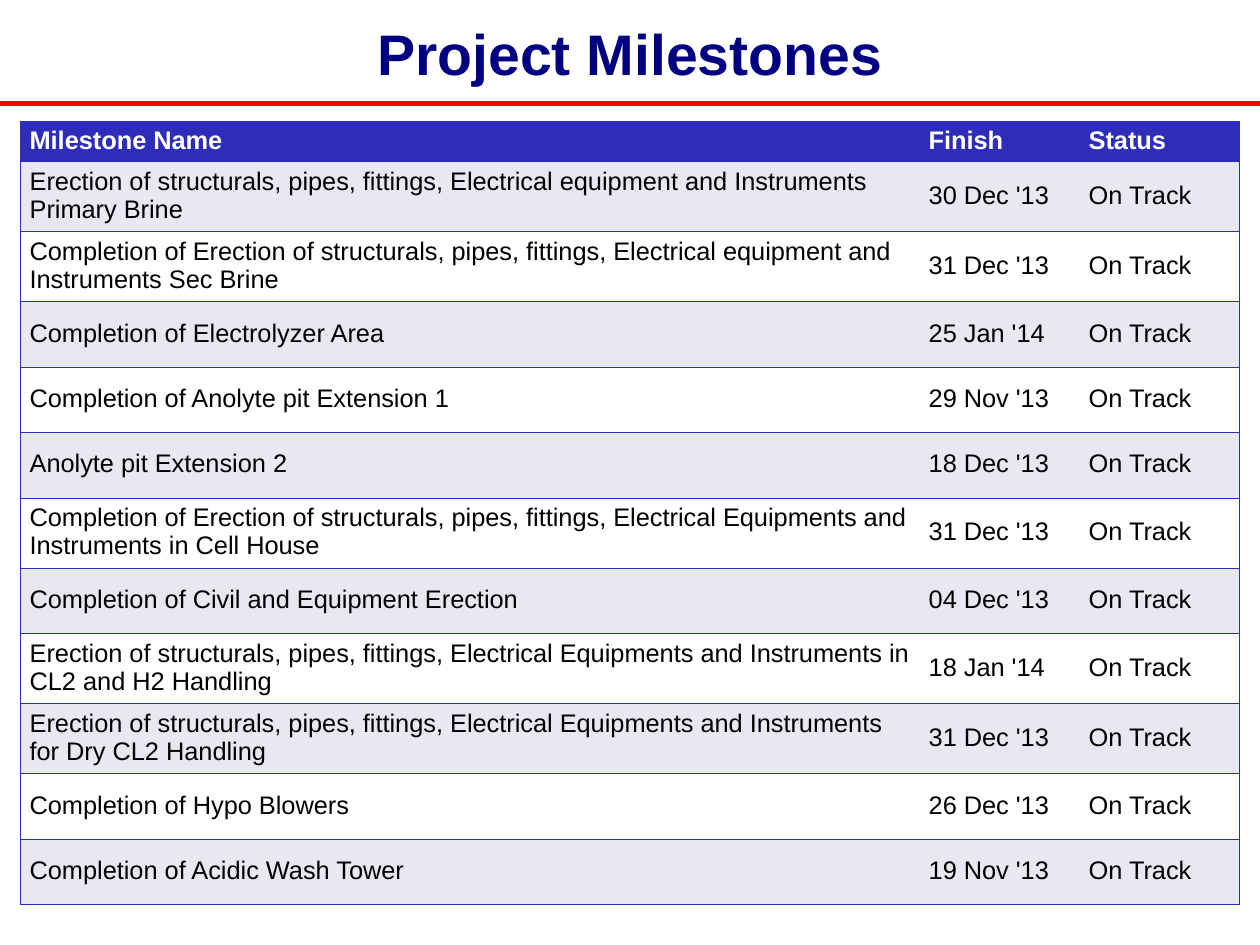
from dataclasses import dataclass
from typing import NamedTuple

from lxml.etree import SubElement
from pptx import Presentation
from pptx.dml.color import RGBColor
from pptx.enum.shapes import MSO_CONNECTOR
from pptx.enum.text import MSO_ANCHOR, PP_ALIGN
from pptx.oxml import parse_xml
from pptx.oxml.ns import nsdecls, qn
from pptx.slide import Slide
from pptx.table import Table, _Cell
from pptx.util import Inches, Length, Mm, Pt


@dataclass(frozen=True)
class Theme:
    font: str = "Arial"
    title_size: float = 36
    table_size: float = 16
    rule_width: float = 2.83
    border_width: float = 0.45
    title: str = "000080"
    rule: str = "FF0000"
    accent: str = "2D2DB9"
    band: str = "E8E8F3"
    plain: str = "FFFFFF"
    text: str = "000000"


class Milestone(NamedTuple):
    name: str
    finish: str
    status: str = "On Track"


THEME = Theme()
PAGE_WIDTH, PAGE_HEIGHT = Mm(280), Mm(210)
HEADINGS = Milestone("Milestone Name", "Finish", "Status")
MILESTONES = [
    Milestone("Erection of structurals, pipes, fittings, Electrical equipment and "
              "Instruments Primary Brine", "30 Dec '13"),
    Milestone("Completion of Erection of structurals, pipes, fittings, Electrical "
              "equipment and Instruments Sec Brine", "31 Dec '13"),
    Milestone("Completion of Electrolyzer Area", "25 Jan '14"),
    Milestone("Completion of Anolyte pit Extension 1", "29 Nov '13"),
    Milestone("Anolyte pit Extension 2", "18 Dec '13"),
    Milestone("Completion of Erection of structurals, pipes, fittings, Electrical "
              "Equipments and Instruments in Cell House", "31 Dec '13"),
    Milestone("Completion of Civil and Equipment Erection", "04 Dec '13"),
    Milestone("Erection of structurals, pipes, fittings, Electrical Equipments and "
              "Instruments in CL2 and H2 Handling", "18 Jan '14"),
    Milestone("Erection of structurals, pipes, fittings, Electrical Equipments and "
              "Instruments for Dry CL2 Handling", "31 Dec '13"),
    Milestone("Completion of Hypo Blowers", "26 Dec '13"),
    Milestone("Completion of Acidic Wash Tower", "19 Nov '13"),
]

# Shares of the slide, in percent
COLUMN_SHARES = (71.35, 12.7, 12.7)
HEADER_SHARE, ONE_LINE_SHARE, TWO_LINE_SHARE = 4.23, 6.92, 7.42
LONGEST_ONE_LINE_NAME = 70


def across(percent: float) -> Length:
    return Length(round(PAGE_WIDTH * percent / 100))


def down(percent: float) -> Length:
    return Length(round(PAGE_HEIGHT * percent / 100))


def style_font(para, size: float, color: str, bold: bool) -> None:
    para.font.name = THEME.font
    para.font.size = Pt(size)
    para.font.bold = bold
    para.font.color.rgb = RGBColor.from_string(color)


def draw_title(page: Slide, text: str) -> None:
    box = page.shapes.add_textbox(across(5), down(1.45), across(90), down(9.07))
    frame = box.text_frame
    frame.word_wrap = True
    frame.vertical_anchor = MSO_ANCHOR.MIDDLE
    frame.margin_left = frame.margin_right = frame.margin_top = frame.margin_bottom = 0
    para = frame.paragraphs[0]
    para.text = text
    para.alignment = PP_ALIGN.CENTER
    para.line_spacing = 0.93
    style_font(para, THEME.title_size, THEME.title, True)


def draw_rule(page: Slide) -> None:
    rule = page.shapes.add_connector(
        MSO_CONNECTOR.STRAIGHT, 0, down(10.97), PAGE_WIDTH, down(10.97))
    rule.line.color.rgb = RGBColor.from_string(THEME.rule)
    rule.line.width = Pt(THEME.rule_width)
    SubElement(rule._element.spPr, qn("a:effectLst"))


def border_cell(cell: _Cell, column: int) -> None:
    """Rule the cell above and below, and on the table's outer sides only."""
    visible = {"lnL": column == 0, "lnR": column == len(COLUMN_SHARES) - 1,
               "lnT": True, "lnB": True}
    properties = cell._tc.get_or_add_tcPr()
    for position, (side, shown) in enumerate(visible.items()):
        paint = (f'<a:solidFill><a:srgbClr val="{THEME.accent}"/></a:solidFill>'
                 if shown else "<a:noFill/>")
        properties.insert(position, parse_xml(
            f'<a:{side} {nsdecls("a")} w="{int(Pt(THEME.border_width))}">{paint}</a:{side}>'))


def fill_row(table: Table, row: int, milestone: Milestone) -> None:
    header = row == 0
    fill = THEME.accent if header else THEME.band if row % 2 else THEME.plain
    for column, text in enumerate(milestone):
        cell = table.cell(row, column)
        cell.fill.solid()
        cell.fill.fore_color.rgb = RGBColor.from_string(fill)
        cell.vertical_anchor = MSO_ANCHOR.MIDDLE
        cell.margin_left = cell.margin_right = Inches(0.08)
        cell.margin_top, cell.margin_bottom = Inches(0.03), Inches(0.05)
        para = cell.text_frame.paragraphs[0]
        para.text = text
        style_font(para, THEME.table_size, THEME.plain if header else THEME.text, header)
        border_cell(cell, column)


def draw_milestones(page: Slide) -> None:
    row_shares = [HEADER_SHARE] + [
        TWO_LINE_SHARE if len(item.name) > LONGEST_ONE_LINE_NAME else ONE_LINE_SHARE
        for item in MILESTONES]
    table = page.shapes.add_table(
        len(row_shares), len(COLUMN_SHARES), across(1.63), down(12.87),
        across(sum(COLUMN_SHARES)), down(sum(row_shares))).table
    table.horz_banding = False
    for column, share in zip(table.columns, COLUMN_SHARES):
        column.width = across(share)
    for row, share in zip(table.rows, row_shares):
        row.height = down(share)
    for row, milestone in enumerate([HEADINGS, *MILESTONES]):
        fill_row(table, row, milestone)


def main() -> None:
    deck = Presentation()
    deck.slide_width, deck.slide_height = PAGE_WIDTH, PAGE_HEIGHT
    deck.element.sldSz.attrib.pop("type", None)
    page = deck.slides.add_slide(deck.slide_layouts[6])
    draw_rule(page)
    draw_title(page, "Project Milestones")
    draw_milestones(page)
    deck.save("out.pptx")


if __name__ == "__main__":
    main()
